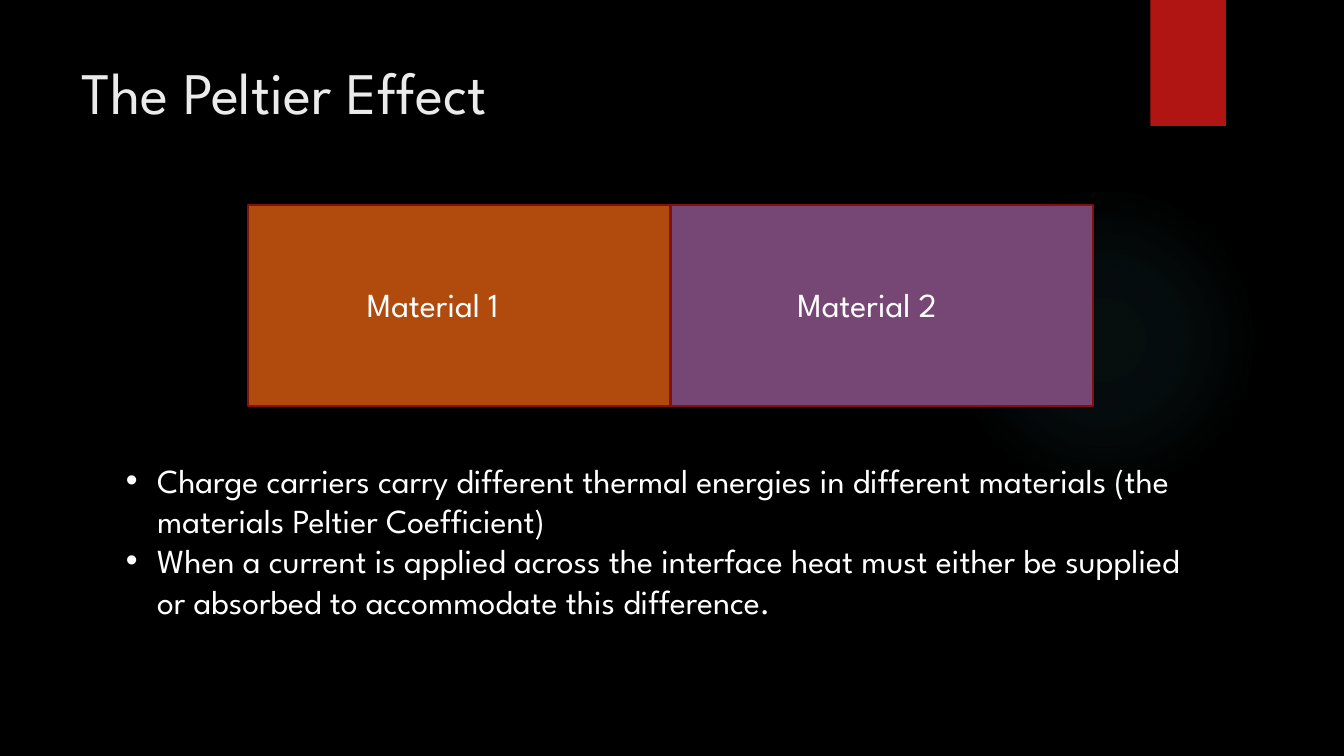
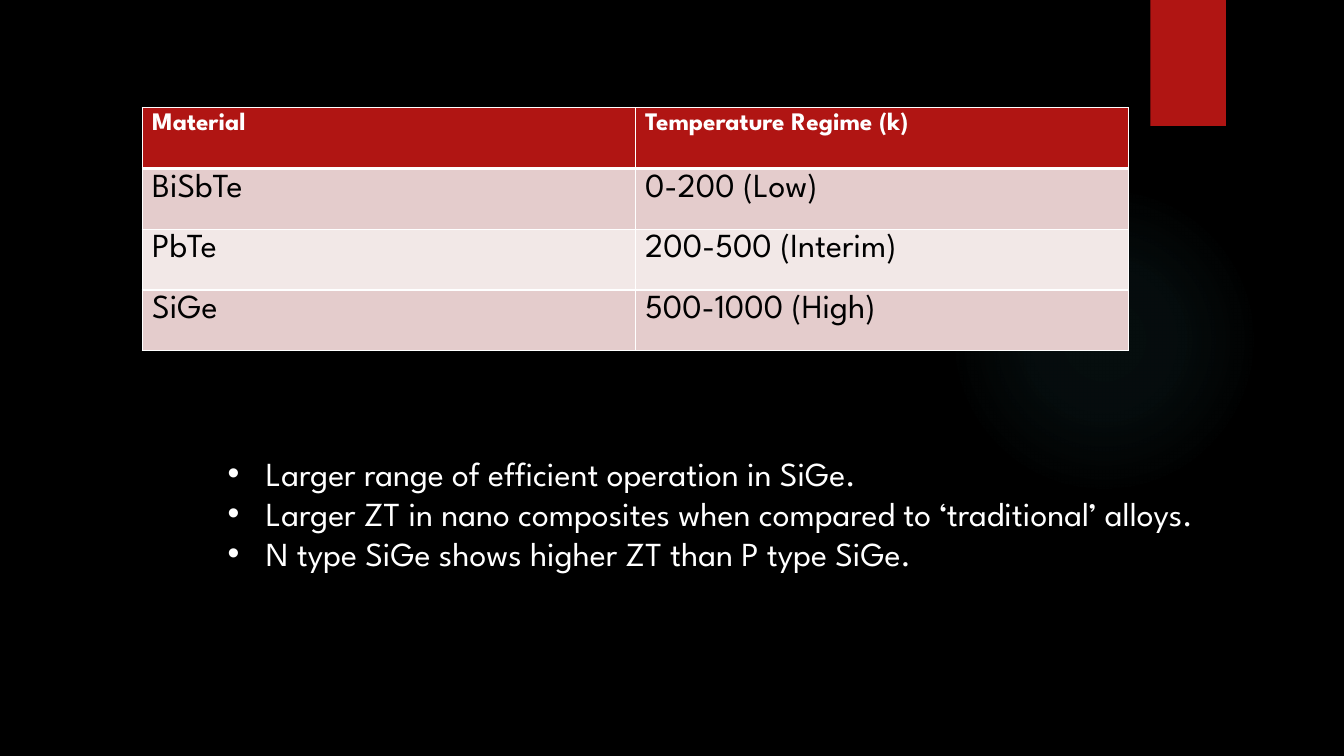
from dataclasses import dataclass

from lxml.etree import SubElement
from pptx import Presentation
from pptx.dml.color import RGBColor
from pptx.enum.shapes import MSO_SHAPE
from pptx.enum.text import MSO_ANCHOR
from pptx.oxml import parse_xml
from pptx.oxml.ns import nsdecls, qn
from pptx.util import Inches, Pt


@dataclass(frozen=True)
class Theme:
    font: str = "League Spartan"
    background: str = "000000"
    accent: str = "B01513"
    glow: str = "50B9C1"
    title: str = "EBEBEB"
    light: str = "FFFFFF"
    dark: str = "000000"
    outline: str = "82100E"
    band_odd: str = "E4CCCC"
    band_even: str = "F2E8E7"
    title_size: int = 42
    body_size: int = 24
    header_size: int = 18


THEME = Theme()

# Content
TITLE = "The Peltier Effect"
MATERIALS = [  # label, fill, left edge of the label
    ("Material 1", "B04A0D", 3.54),
    ("Material 2", "764674", 7.81),
]
PELTIER_POINTS = [
    "Charge carriers carry different thermal energies in different materials "
    "(the materials Peltier Coefficient)",
    "When a current is applied across the interface heat must either be "
    "supplied or absorbed to accommodate this difference.",
]
REGIMES = [
    ("Material", "Temperature Regime (k)"),
    ("BiSbTe", "0-200 (Low)"),
    ("PbTe", "200-500 (Interim)"),
    ("SiGe", "500-1000 (High)"),
]
ALLOY_POINTS = [
    "Larger range of efficient operation in SiGe.",
    "Larger ZT in nano composites when compared to ‘traditional’ alloys.",
    "N type SiGe shows higher ZT than P type SiGe.",
]
GLOW_STOPS = [(0, 7), (36, 6), (69, 0)]  # position and opacity, percent


# Helpers
def color(value):
    return RGBColor.from_string(value)


def add_run(paragraph, text, size, ink, bold=False):
    run = paragraph.add_run()
    run.text = text
    run.font.name = THEME.font
    run.font.size = Pt(size)
    run.font.bold = bold
    run.font.color.rgb = color(ink)


def add_shape(slide, kind, box, fill, line=None):
    shape = slide.shapes.add_shape(kind, *map(Inches, box))
    shape.shadow.inherit = False
    shape.fill.solid()
    shape.fill.fore_color.rgb = color(fill)
    if line:
        shape.line.color.rgb = color(line)
        shape.line.width = Pt(1.5)
    else:
        shape.line.fill.background()
    return shape


def add_text(slide, box, lines, size, ink, indent=0):
    frame = slide.shapes.add_textbox(*map(Inches, box)).text_frame
    frame.word_wrap = True
    frame.vertical_anchor = MSO_ANCHOR.TOP
    for index, line in enumerate(lines):
        paragraph = frame.paragraphs[0] if index == 0 else frame.add_paragraph()
        if indent:
            add_bullet(paragraph, indent)
        add_run(paragraph, line, size, ink)


def add_bullet(paragraph, indent):
    properties = paragraph._p.get_or_add_pPr()
    properties.set("marL", str(Inches(indent)))
    properties.set("indent", str(-Inches(indent)))
    SubElement(properties, qn("a:buFont"), typeface="Arial")
    SubElement(properties, qn("a:buChar"), char="•")


def add_glow(slide):
    glow = add_shape(slide, MSO_SHAPE.OVAL, (9.41, 1.83, 3.08, 3.08), THEME.glow)
    stops = "".join(
        f'<a:gs pos="{position * 1000}"><a:srgbClr val="{THEME.glow}">'
        f'<a:alpha val="{opacity * 1000}"/></a:srgbClr></a:gs>'
        for position, opacity in GLOW_STOPS
    )
    gradient = parse_xml(
        f'<a:gradFill {nsdecls("a")}><a:gsLst>{stops}</a:gsLst><a:path path="circle">'
        '<a:fillToRect l="50000" t="50000" r="50000" b="50000"/></a:path></a:gradFill>'
    )
    properties = glow._element.spPr
    properties.replace(properties.find(qn("a:solidFill")), gradient)


def add_border(cell, side, width):
    line = SubElement(cell._tc.get_or_add_tcPr(), qn(f"a:ln{side}"), w=str(Pt(width)))
    fill = SubElement(line, qn("a:solidFill"))
    SubElement(fill, qn("a:srgbClr"), val=THEME.light)


def add_table(slide, box, rows):
    columns = len(rows[0])
    table = slide.shapes.add_table(len(rows), columns, *map(Inches, box)).table
    for row, values in enumerate(rows):
        header = row == 0
        band = THEME.band_odd if row % 2 else THEME.band_even
        for column, value in enumerate(values):
            cell = table.cell(row, column)
            # The rule under the header is heavier than the other borders
            widths = {"L": 1, "R": 1, "T": 3 if row == 1 else 1, "B": 3 if header else 1}
            for side, width in widths.items():
                add_border(cell, side, width)
            cell.fill.solid()
            cell.fill.fore_color.rgb = color(THEME.accent if header else band)
            add_run(
                cell.text_frame.paragraphs[0],
                value,
                THEME.header_size if header else THEME.body_size,
                THEME.light if header else THEME.dark,
                bold=header,
            )


def new_slide(presentation):
    slide = presentation.slides.add_slide(presentation.slide_layouts[6])
    slide.background.fill.solid()
    slide.background.fill.fore_color.rgb = color(THEME.background)
    add_glow(slide)
    add_shape(slide, MSO_SHAPE.RECTANGLE, (11.41, 0, 0.75, 1.25), THEME.accent)
    return slide


# Slides
def build_peltier_slide(presentation):
    slide = new_slide(presentation)
    add_text(slide, (0.71, 0.5, 10.29, 1.53), [TITLE], THEME.title_size, THEME.title)
    left, top, width, height = 2.46, 2.03, 4.19, 2
    for index, (_, fill, _) in enumerate(MATERIALS):
        block = (left + index * width, top, width, height)
        add_shape(slide, MSO_SHAPE.RECTANGLE, block, fill, THEME.outline)
    for label, _, label_left in MATERIALS:
        add_text(slide, (label_left, 2.77, 3.18, 0.5), [label], THEME.body_size, THEME.light)
    add_text(slide, (1.15, 4.51, 10.77, 1.72), PELTIER_POINTS,
             THEME.body_size, THEME.light, indent=0.31)


def build_materials_slide(presentation):
    slide = new_slide(presentation)
    add_table(slide, (1.41, 1.07, 9.78, 2.41), REGIMES)
    add_text(slide, (2.16, 4.44, 9.78, 2.12), ALLOY_POINTS,
             THEME.body_size, THEME.light, indent=0.38)


def main():
    presentation = Presentation()
    presentation.slide_width = Inches(13.33)
    presentation.slide_height = Inches(7.5)
    build_peltier_slide(presentation)
    build_materials_slide(presentation)
    presentation.save("out.pptx")


if __name__ == "__main__":
    main()
